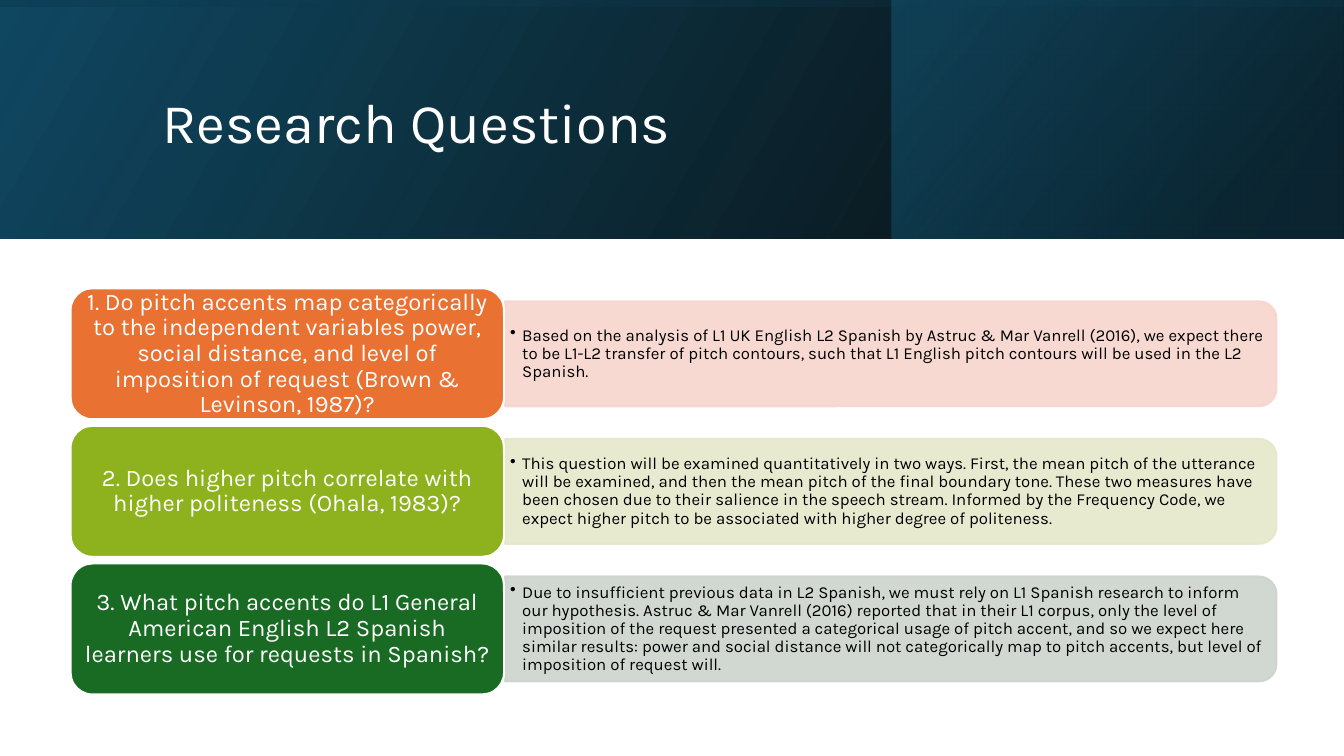
from lxml.etree import SubElement
from pptx import Presentation
from pptx.dml.color import RGBColor
from pptx.enum.shapes import MSO_SHAPE
from pptx.enum.text import MSO_ANCHOR, PP_ALIGN
from pptx.oxml.ns import qn
from pptx.util import Inches, Pt

FONT = "Karla"
COLORS = {
    "white": "FFFFFF", "black": "000000",
    "navy": "104862", "deep": "0B3041", "teal": "156082",
    "orange": "E97132", "peach": "F7D5CE",
    "lime": "8EB21E", "pale lime": "E5E8CA",
    "green": "196B24", "pale green": "CCD4CD",
}
TITLE = "Research Questions"
QUESTIONS = [
    ("1. Do pitch accents map categorically to the independent variables power, "
     "social distance, and level of imposition of request (Brown & Levinson, 1987)?",
     "Based on the analysis of L1 UK English L2 Spanish by Astruc & Mar Vanrell (2016), "
     "we expect there to be L1-L2 transfer of pitch contours, such that L1 English pitch "
     "contours will be used in the L2 Spanish.",
     "orange", "peach"),
    ("2. Does higher pitch correlate with higher politeness (Ohala, 1983)?",
     "This question will be examined quantitatively in two ways. First, the mean pitch of "
     "the utterance will be examined, and then the mean pitch of the final boundary tone. "
     "These two measures have been chosen due to their salience in the speech stream. "
     "Informed by the Frequency Code, we expect higher pitch to be associated with higher "
     "degree of politeness.",
     "lime", "pale lime"),
    ("3. What pitch accents do L1 General American English L2 Spanish learners use for "
     "requests in Spanish?",
     "Due to insufficient previous data in L2 Spanish, we must rely on L1 Spanish research "
     "to inform our hypothesis. Astruc & Mar Vanrell (2016) reported that in their L1 corpus, "
     "only the level of imposition of the request presented a categorical usage of pitch "
     "accent, and so we expect here similar results: power and social distance will not "
     "categorically map to pitch accents, but level of imposition of request will.",
     "green", "pale green"),
]

SLIDE_WIDTH, SLIDE_HEIGHT, BAND_HEIGHT = 13.33, 7.5, 2.37
# Place, rotation, gradient angle, then stops of (position, color, opacity in percent)
BANDS = [
    ((0, 0, SLIDE_WIDTH, BAND_HEIGHT), 0, 30,
     [(0, "black", 96), (1, "navy", 100)]),
    ((8.84, 0, 4.48, BAND_HEIGHT), 0, 40,
     [(0.19, "deep", 68), (1, "teal", 48)]),
    ((5.48, -5.48, BAND_HEIGHT, SLIDE_WIDTH), 270, 10,
     [(0.23, "navy", 16), (0.99, "black", 45)]),
]
CARD_LEFT, CARD_TOP, CARD_WIDTH, CARD_HEIGHT = 0.7, 2.86, 4.3, 1.3
ROW_STEP = 1.365
BAR_LEFT, BAR_LENGTH, BAR_HEIGHT = 5.01, 7.65, 1.04
DETAIL_WIDTH, DETAIL_HEIGHT = 7.6, 0.94


def color(name):
    return RGBColor.from_string(COLORS[name])


def set_opacity(shape, percents):
    """Apply one opacity to each color of the shape, in order."""
    for element, percent in zip(shape.element.spPr.iter(qn("a:srgbClr")), percents):
        SubElement(element, qn("a:alpha")).set("val", str(percent * 1000))


def add_shape(slide, kind, place, rotation=0):
    shape = slide.shapes.add_shape(kind, *map(Inches, place))
    shape.shadow.inherit = False
    shape.rotation = rotation
    return shape


def add_band(slide, place, rotation, angle, stops):
    band = add_shape(slide, MSO_SHAPE.RECTANGLE, place, rotation)
    band.element.spPr.xfrm.set("flipH", "1")
    band.line.fill.background()
    band.fill.gradient()
    band.fill.gradient_angle = angle
    for stop, (position, name, _) in zip(band.fill.gradient_stops, stops):
        stop.position = position
        stop.color.rgb = color(name)
    set_opacity(band, [opacity for _, _, opacity in stops])


def paint(shape, fill, line):
    shape.fill.solid()
    shape.fill.fore_color.rgb = color(fill)
    shape.line.color.rgb = color(line)
    shape.line.width = Pt(1.5)


def write(shape, text, size, ink="white", align=PP_ALIGN.LEFT, margins=(0.1, 0.05),
          bullet_indent=None):
    frame = shape.text_frame
    frame.word_wrap = True
    frame.vertical_anchor = MSO_ANCHOR.MIDDLE
    frame.margin_left = frame.margin_right = Inches(margins[0])
    frame.margin_top = frame.margin_bottom = Inches(margins[1])
    para = frame.paragraphs[0]
    para.alignment = align
    para.line_spacing = 0.9
    span = para.add_run()
    span.text = text
    span.font.size = Pt(size)
    span.font.name = FONT
    span.font.color.rgb = color(ink)
    if bullet_indent:
        properties = para._p.get_or_add_pPr()
        properties.set("marL", str(Inches(bullet_indent)))
        properties.set("indent", str(-Inches(bullet_indent)))
        SubElement(properties, qn("a:buChar")).set("char", "•")


def add_question(slide, row, question, detail, strong, pale):
    top = CARD_TOP + row * ROW_STEP
    middle = top + CARD_HEIGHT / 2

    # The bar is drawn upright and turned, so its rounded end points right.
    bar_place = (BAR_LEFT + (BAR_LENGTH - BAR_HEIGHT) / 2, middle - BAR_LENGTH / 2,
                 BAR_HEIGHT, BAR_LENGTH)
    bar = add_shape(slide, MSO_SHAPE.ROUND_2_SAME_RECTANGLE, bar_place, 90)
    paint(bar, pale, pale)
    set_opacity(bar, [90, 90])

    detail_place = (BAR_LEFT, middle - DETAIL_HEIGHT / 2, DETAIL_WIDTH, DETAIL_HEIGHT)
    box = slide.shapes.add_textbox(*map(Inches, detail_place))
    write(box, detail, 12, ink="black", margins=(0.05, 0.03), bullet_indent=0.12)

    card = add_shape(slide, MSO_SHAPE.ROUNDED_RECTANGLE,
                     (CARD_LEFT, top, CARD_WIDTH, CARD_HEIGHT))
    paint(card, strong, "white")
    write(card, question, 17, align=PP_ALIGN.CENTER, margins=(0.07, 0.04))


def main():
    deck = Presentation()
    deck.slide_width = Inches(SLIDE_WIDTH)
    deck.slide_height = Inches(SLIDE_HEIGHT)
    page = deck.slides.add_slide(deck.slide_layouts[5])

    for band in BANDS:
        add_band(page, *band)

    title = page.shapes.title
    title.left, title.top, title.width, title.height = map(Inches, (1.51, 0.38, 10.63, 1.72))
    write(title, TITLE, 40)
    page.shapes.element.append(title.element)  # bring the title in front of the bands

    for row, question in enumerate(QUESTIONS):
        add_question(page, row, *question)

    deck.save("out.pptx")


if __name__ == "__main__":
    main()
